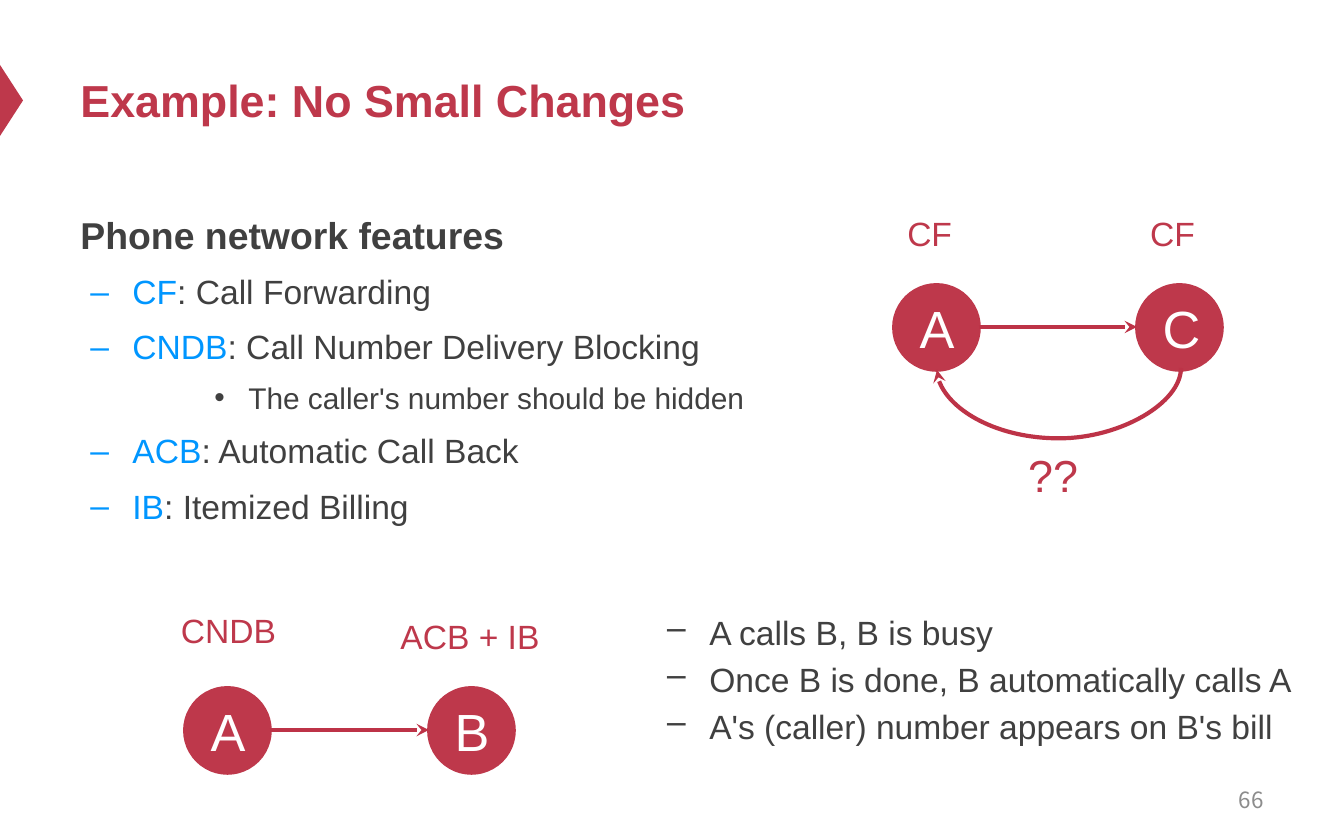
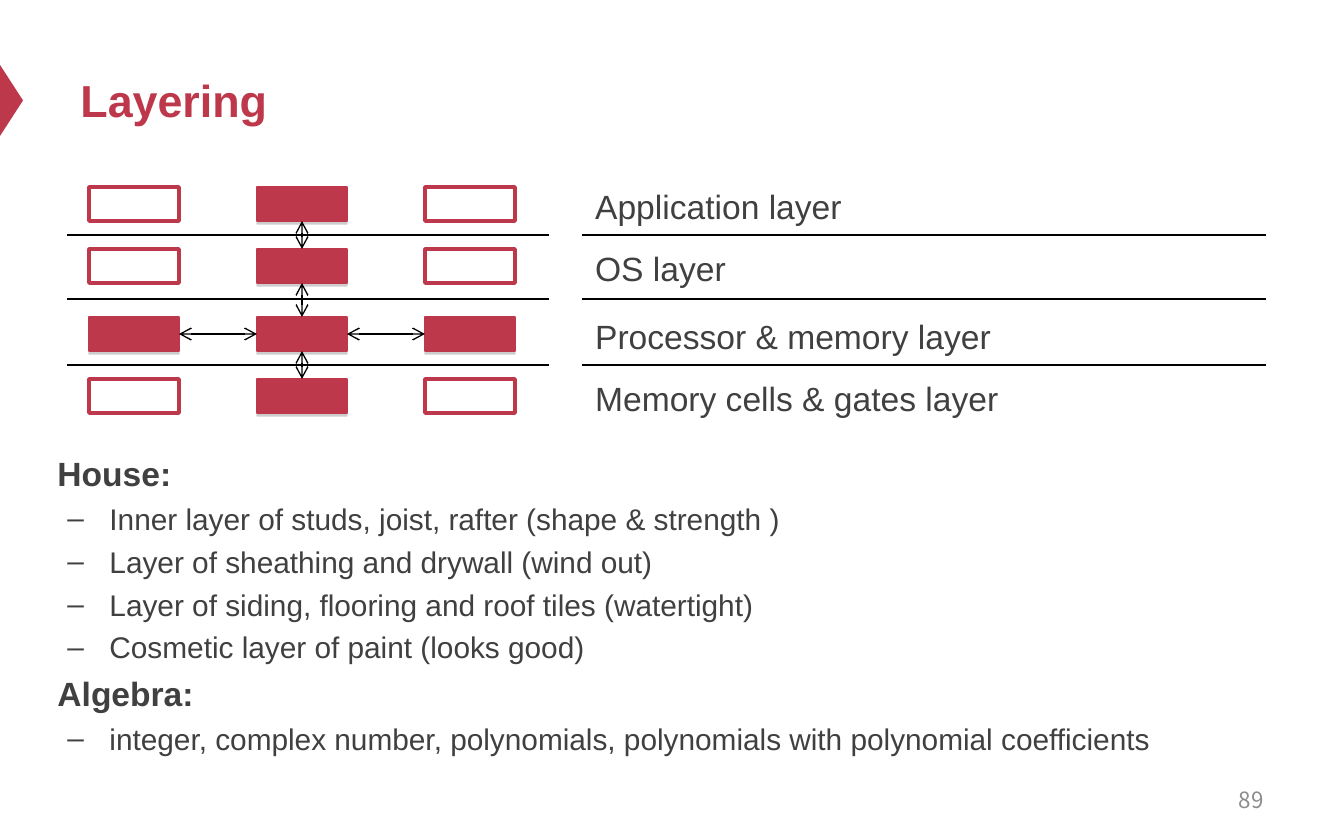
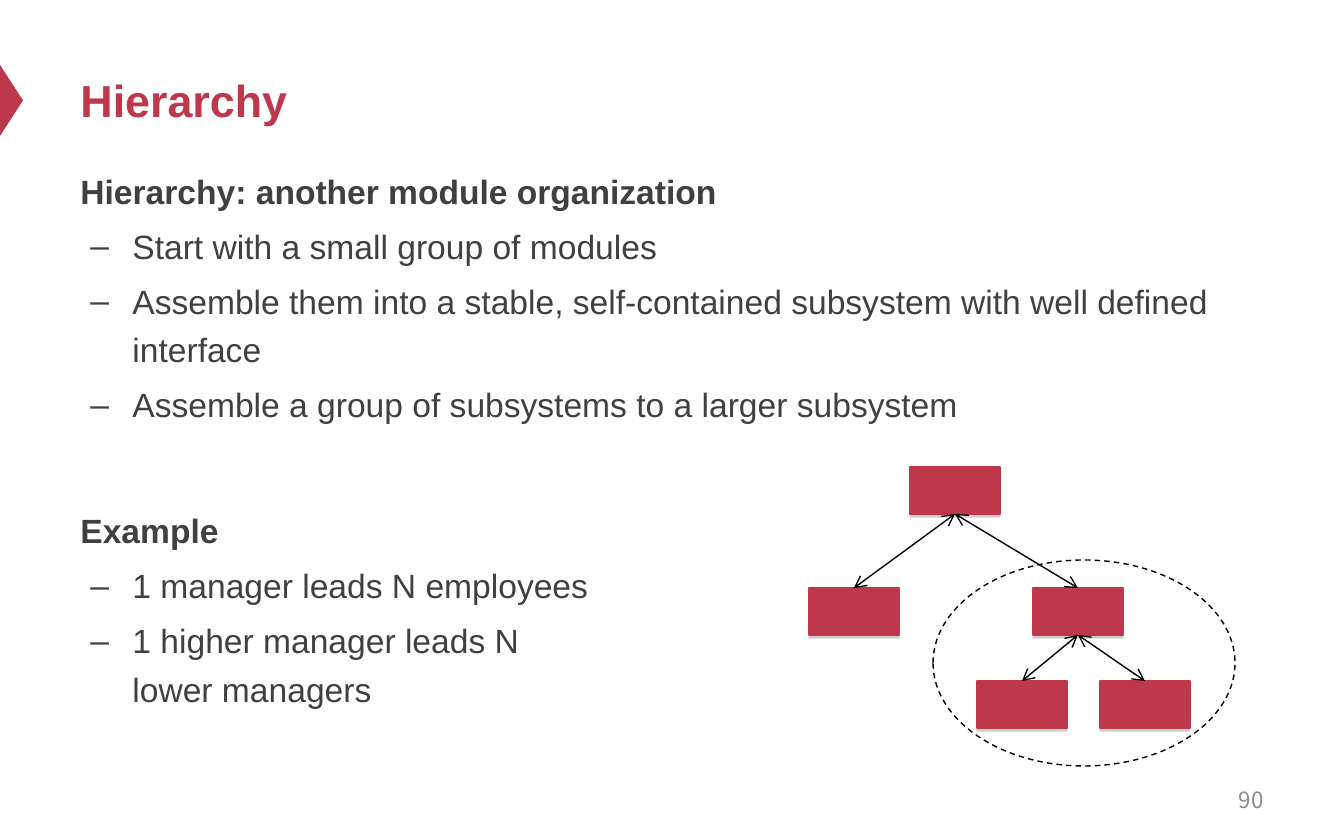
from dataclasses import dataclass
from itertools import pairwise

from lxml.etree import SubElement
from pptx import Presentation
from pptx.dml.color import RGBColor
from pptx.enum.dml import MSO_LINE
from pptx.enum.shapes import MSO_CONNECTOR, MSO_SHAPE
from pptx.enum.text import MSO_ANCHOR, MSO_AUTO_SIZE, PP_ALIGN
from pptx.oxml.ns import qn
from pptx.util import Emu, Pt

TOP, LEFT, BOTTOM, RIGHT = range(4)


def px(n):
    return Emu(round(n * 9144000 / 1344))


@dataclass(frozen=True)
class Theme:
    red: str = "BE384B"
    arrow: str = "BD3347"
    ink: str = "404040"
    term: str = "0096FF"
    number: str = "8C8C8C"
    white: str = "FFFFFF"
    black: str = "000000"
    shadow: str = "808080"
    font: str = "Arial"
    number_font: str = "Noto Sans CJK SC"
    title_pt: int = 24
    text_pt: int = 18
    small_pt: int = 16
    node_pt: int = 28
    number_pt: int = 12
    thin: float = 0.75
    outline: float = 2
    heavy: float = 2.25
    marks: tuple = ("", "–", "•")
    indents: tuple = ((0, 0), (52, -42), (168, -34))


class Deck:
    def __init__(self, theme):
        self.t = theme
        self.prs = Presentation()
        self.prs.slide_width, self.prs.slide_height = px(1344), px(840)

    def slide(self, title, number):
        self.s = self.prs.slides.add_slide(self.prs.slide_layouts[1])
        marker = self.shape(MSO_SHAPE.ISOSCELES_TRIANGLE, (-24, 89, 71, 23), self.t.red)
        marker.rotation = 90
        tf = self.place(self.s.shapes.title, (67, 34, 1210, 132))
        tf.vertical_anchor = MSO_ANCHOR.MIDDLE
        tf.paragraphs[0].alignment = PP_ALIGN.LEFT
        self.run(tf.paragraphs[0], title, self.t.title_pt, self.t.red, bold=True)
        tf = self.text((964, 778, 313, 44), str(number), self.t.number_pt,
                       self.t.number, PP_ALIGN.RIGHT, font=self.t.number_font)
        tf.vertical_anchor = MSO_ANCHOR.MIDDLE

    def place(self, sp, box):
        sp.left, sp.top, sp.width, sp.height = map(px, box)
        tf = sp.text_frame
        tf.word_wrap = True
        tf.auto_size = MSO_AUTO_SIZE.NONE
        return tf

    def run(self, p, text, size, color, bold=False, font=None):
        for i, line in enumerate(text.split("\n")):
            if i:
                p.add_line_break()
            r = p.add_run()
            r.text = line
            r.font.name = font or self.t.font
            r.font.size = Pt(size)
            r.font.bold = bold
            r.font.color.rgb = RGBColor.from_string(color)

    def text(self, box, text, size, color, align=PP_ALIGN.LEFT, font=None, wrap=True):
        tf = self.s.shapes.add_textbox(*map(px, box)).text_frame
        tf.word_wrap = wrap
        p = tf.paragraphs[0]
        p.alignment = align
        self.run(p, text, size, color, font=font)
        return tf

    def body(self, box, items, sizes, **style):
        tf = self.place(self.s.placeholders[1], box)
        tf.vertical_anchor = MSO_ANCHOR.TOP
        self.bullets(tf, items, sizes, **style)

    def bullets(self, tf, items, sizes, head_gap=0, item_gap=0.2, spacing=1.2, indents=None):
        for i, (level, text, *terms) in enumerate(items):
            p = tf.add_paragraph() if i else tf.paragraphs[0]
            p.level = level
            size = sizes[level]
            pPr = p._p.get_or_add_pPr()
            margin, indent = (indents or self.t.indents)[level]
            pPr.set("marL", str(px(margin)))
            pPr.set("indent", str(px(indent)))
            if level:
                SubElement(pPr, qn("a:buChar")).set("char", self.t.marks[level])
            else:
                SubElement(pPr, qn("a:buNone"))
            p.alignment = PP_ALIGN.LEFT
            p.line_spacing = spacing
            gap = item_gap * size if level else head_gap
            p.space_before = Pt(gap if i else 0)
            for term in terms:
                self.run(p, term, size, self.t.term)
            self.run(p, text, size, self.t.ink, bold=level == 0)

    def shape(self, kind, box, fill=None, line=None, width=0.75):
        sp = self.s.shapes.add_shape(kind, *map(px, box))
        sp.shadow.inherit = False
        if fill:
            sp.fill.solid()
            sp.fill.fore_color.rgb = RGBColor.from_string(fill)
        else:
            sp.fill.background()
        if line:
            sp.line.color.rgb = RGBColor.from_string(line)
            sp.line.width = Pt(width)
        else:
            sp.line.fill.background()
        return sp

    def module(self, box, filled=True):
        if not filled:
            return self.shape(MSO_SHAPE.RECTANGLE, box, self.t.white, self.t.red, self.t.outline)
        sp = self.shape(MSO_SHAPE.RECTANGLE, box, self.t.red, self.t.red, self.t.thin)
        effects = sp.element.spPr.find(qn("a:effectLst"))
        shadow = SubElement(effects, qn("a:outerShdw"), blurRad="0", dist="20000",
                            dir="5400000", rotWithShape="0")
        color = SubElement(shadow, qn("a:srgbClr"), val=self.t.shadow)
        SubElement(color, qn("a:alpha"), val="38000")
        return sp

    def label(self, box, text):
        sp = self.shape(MSO_SHAPE.RECTANGLE, box, self.t.white)
        tf = sp.text_frame
        tf.word_wrap = True
        tf.vertical_anchor = MSO_ANCHOR.MIDDLE
        p = tf.paragraphs[0]
        p.alignment = PP_ALIGN.LEFT
        self.run(p, text, self.t.text_pt, self.t.ink)

    def node(self, x, y, letter):
        sp = self.shape(MSO_SHAPE.OVAL, (x, y, 85, 85), self.t.red, self.t.red, self.t.outline)
        sp.text_frame.vertical_anchor = MSO_ANCHOR.MIDDLE
        p = sp.text_frame.paragraphs[0]
        p.alignment = PP_ALIGN.CENTER
        self.run(p, letter, self.t.node_pt, self.t.white)

    def call(self, x1, x2, y, caller, callee):
        self.node(x1, y, caller)
        self.node(x2, y, callee)
        self.line((x1 + 85, y + 42, x2, y + 42), self.t.arrow, self.t.heavy, tail="stealth")

    def line(self, ends, color, width, head=None, tail=None, kind=MSO_CONNECTOR.STRAIGHT):
        c = self.s.shapes.add_connector(kind, *map(px, ends))
        c.line.color.rgb = RGBColor.from_string(color)
        c.line.width = Pt(width)
        spPr = c.element.spPr
        for tag, arrow in (("a:headEnd", head), ("a:tailEnd", tail)):
            if arrow:
                SubElement(spPr.find(qn("a:ln")), qn(tag), type=arrow)
        SubElement(spPr, qn("a:effectLst"))
        return c

    def loop(self, ends, bend):
        c = self.line(ends, self.t.arrow, self.t.heavy, tail="stealth", kind=MSO_CONNECTOR.CURVE)
        spPr = c.element.spPr
        spPr.find(qn("a:xfrm")).set("rot", "5400000")
        guides = spPr.find(qn("a:prstGeom")).find(qn("a:avLst"))
        SubElement(guides, qn("a:gd"), name="adj1", fmla=f"val {bend * 100000}")

    def link(self, a, a_side, b, b_side):
        c = self.line((0, 0, 0, 0), self.t.black, self.t.thin, "arrow", "arrow")
        c.begin_connect(a, a_side)
        c.end_connect(b, b_side)


def phone_slide(d):
    t = d.t
    d.slide("Example: No Small Changes", 66)
    d.body((67, 196, 1210, 368), [
        (0, "Phone network features"),
        (1, ": Call Forwarding", "CF"),
        (1, ": Call Number Delivery Blocking", "CNDB"),
        (2, "The caller's number should be hidden"),
        (1, ": Automatic Call Back", "ACB"),
        (1, ": Itemized Billing", "IB"),
    ], (20, t.text_pt, t.small_pt))
    d.call(894, 1137, 285, "A", "C")
    d.loop((1058, 247, 1060, 491), 35)
    d.text((1015, 441, 78, 67), "??", t.title_pt, t.red, wrap=False)
    for x in (894, 1137):
        d.text((x, 206, 86, 54), "CF", t.text_pt, t.red)
    d.call(185, 429, 688, "A", "B")
    d.text((148, 603, 161, 54), "CNDB", t.text_pt, t.red, PP_ALIGN.CENTER)
    d.text((364, 609, 212, 54), "ACB + IB", t.text_pt, t.red, PP_ALIGN.CENTER)
    tf = d.s.shapes.add_textbox(*map(px, (587, 605, 738, 233))).text_frame
    tf.word_wrap = True
    d.bullets(tf, [
        (1, "A calls B, B is busy"),
        (1, "Once B is done, B automatically calls A"),
        (1, "A's (caller) number appears on B's bill"),
    ], (t.text_pt, t.text_pt), spacing=1.0, indents=((0, 0), (109, -42)))


def layering_slide(d):
    t = d.t
    d.slide("Layering", 89)
    layers = [
        (187, "Application layer", False),
        (249, "OS layer", False),
        (317, "Processor & memory layer", True),
        (379, "Memory cells & gates layer", False),
    ]
    rows = []
    for y, name, full in layers:
        rows.append([d.module((89 + 168 * col, y, 90, 34), full or col == 1)
                     for col in range(3)])
        d.label((582, y, 661, 38), name)
    for y in (235, 299, 365):
        for x1, x2 in ((67, 549), (582, 1266)):
            d.line((x1, y, x2, y), t.black, t.thin)
    for upper, lower in pairwise(rows):
        d.link(upper[1], BOTTOM, lower[1], TOP)
    for left, right in pairwise(rows[2]):
        d.link(left, RIGHT, right, LEFT)
    d.body((44, 438, 1300, 383), [
        (0, "House:"),
        (1, "Inner layer of studs, joist, rafter (shape & strength )"),
        (1, "Layer of sheathing and drywall (wind out)"),
        (1, "Layer of siding, flooring and roof tiles (watertight)"),
        (1, "Cosmetic layer of paint (looks good)"),
        (0, "Algebra:"),
        (1, "integer, complex number, polynomials, polynomials with polynomial coefficients"),
    ], (t.text_pt, t.small_pt), item_gap=0)


def hierarchy_slide(d):
    t = d.t
    d.slide("Hierarchy", 90)
    d.body((67, 156, 1210, 582), [
        (0, "Hierarchy: another module organization"),
        (1, "Start with a small group of modules"),
        (1, "Assemble them into a stable, self-contained subsystem with well defined interface"),
        (1, "Assemble a group of subsystems to a larger subsystem"),
        (0, "Example"),
        (1, "1 manager leads N employees"),
        (1, "1 higher manager leads N\nlower managers"),
    ], (t.text_pt, t.text_pt), head_gap=41.5)
    root, single, manager, first, second = [
        d.module((x, y, 90, 47))
        for x, y in ((910, 467), (809, 588), (1033, 588), (977, 681), (1100, 681))]
    for parent, children in ((root, (single, manager)), (manager, (first, second))):
        for child in children:
            d.link(parent, BOTTOM, child, TOP)
    group = d.shape(MSO_SHAPE.OVAL, (933, 560, 302, 206), line=t.black, width=t.thin)
    group.line.dash_style = MSO_LINE.DASH


def main():
    d = Deck(Theme())
    phone_slide(d)
    layering_slide(d)
    hierarchy_slide(d)
    d.prs.save("out.pptx")


if __name__ == "__main__":
    main()
